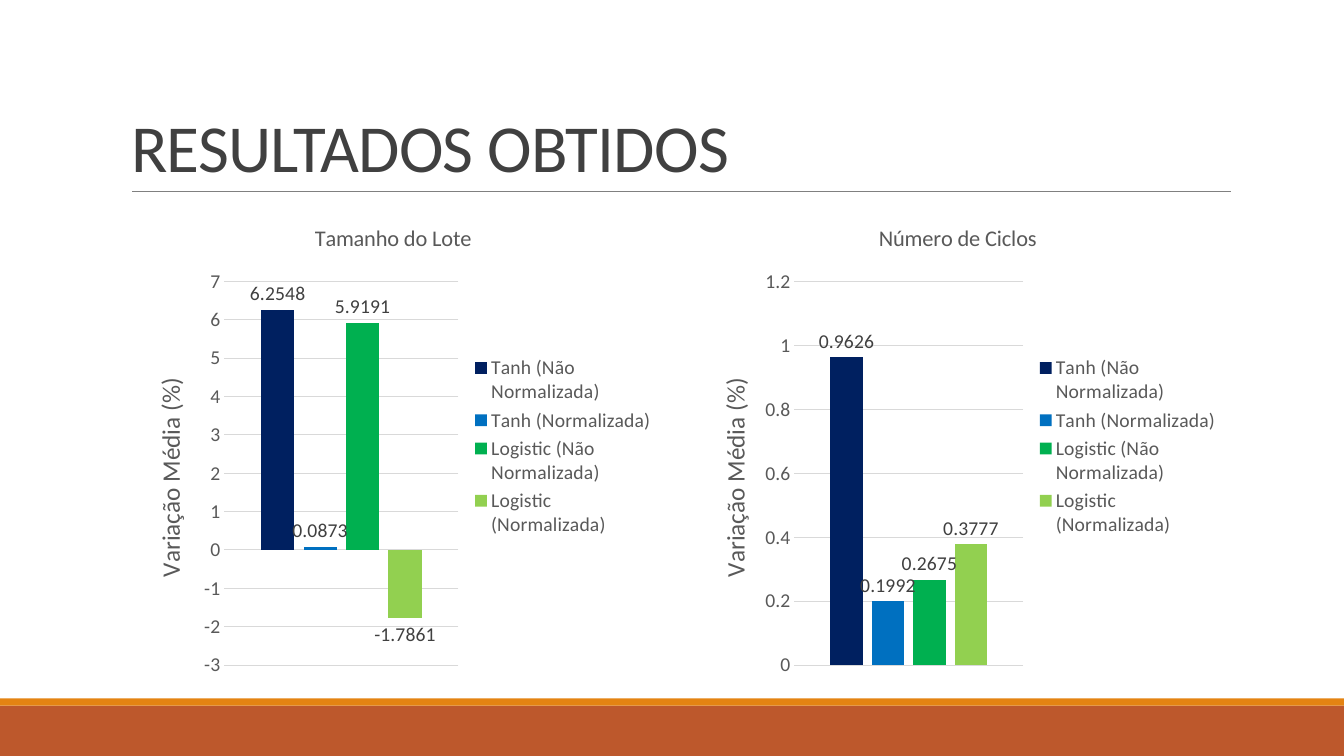
import pptx
import pptx.util
import pptx.dml.color
import pptx.chart.data
import pptx.enum.chart
import pptx.enum.text
import pptx.enum.shapes
import pptx.oxml
from pptx.oxml.ns import qn, nsdecls

Inches = pptx.util.Inches
Pt = pptx.util.Pt
enum = pptx.enum


def style(font, size, color):
    look = {"name": "Calibri", "size": Pt(size), "bold": False}
    for key, value in look.items():
        setattr(font, key, value)
    font.color.rgb = pptx.dml.color.RGBColor.from_string(color)


def place(node, spots):
    xml = "".join(f'<c:{tag} val="{value}"/>' for tag, value in spots.items())
    for old in node.findall(qn("c:layout")):
        node.remove(old)
    layout = pptx.oxml.parse_xml(
        f'<c:layout {nsdecls("c")}><c:manualLayout>{xml}</c:manualLayout></c:layout>')
    text = node.find(qn("c:tx"))
    node.insert(0 if text is None else 1, layout)


deck = pptx.Presentation()
deck.slide_width = Inches(13.33)
deck.slide_height = Inches(7.5)
slide = deck.slides.add_slide(deck.slide_layouts[5])
shapes = slide.shapes

for top, height, color in [(7, 0.5, "BD582C"), (6.93, 0.07, "E48312")]:
    band = shapes.add_shape(enum.shapes.MSO_SHAPE.RECTANGLE, 0, Inches(top),
                            deck.slide_width, Inches(height))
    band.shadow.inherit = False
    band.fill.solid()
    band.fill.fore_color.rgb = pptx.dml.color.RGBColor.from_string(color)
    band.line.fill.background()

rule = shapes.add_connector(enum.shapes.MSO_CONNECTOR.STRAIGHT, Inches(1.31),
                            Inches(1.9), Inches(12.21), Inches(1.9))
rule.line.color.rgb = pptx.dml.color.RGBColor.from_string("808080")
rule.line.width = Pt(0.5)
rule._element.spPr.append(pptx.oxml.parse_xml(f'<a:effectLst {nsdecls("a")}/>'))

title = shapes.title
spot = {"left": 1.2, "top": 0.31, "width": 11, "height": 1.59}
for key, value in spot.items():
    setattr(title, key, Inches(value))
frame = title.text_frame
frame.text = "RESULTADOS OBTIDOS"
frame.auto_size = enum.text.MSO_AUTO_SIZE.NONE
frame.vertical_anchor = enum.text.MSO_ANCHOR.BOTTOM
line = frame.paragraphs[0]
line.alignment = enum.text.PP_ALIGN.LEFT
line.line_spacing = 0.85
style(line.runs[0].font, 48, "404040")
line.runs[0].font._element.set("spc", "-50")

names = ["Tanh (Não Normalizada)", "Tanh (Normalizada)",
         "Logistic (Não Normalizada)", "Logistic (Normalizada)"]
colors = ["002060", "0070C0", "00B050", "92D050"]
charts = [
    ("Tamanho do Lote", 1.2, [6.2548, 0.0873, 5.9191, -1.7861], (-3, 7, 1), (0.19, 0.43)),
    ("Número de Ciclos", 6.8, [0.9626, 0.1992, 0.2675, 0.3777], (0, 1.2, 0.2), (0.2, 0.42)),
]

for head, left, values, scale, span in charts:
    data = pptx.chart.data.CategoryChartData()
    data.categories = ["1"]
    for name, value in zip(names, values):
        data.add_series(name, [value])
    chart = shapes.add_chart(enum.chart.XL_CHART_TYPE.COLUMN_CLUSTERED, Inches(left),
                             Inches(2.02), Inches(5.4), Inches(4.82), data).chart
    style(chart.font, 14, "000000")
    chart.has_title = True
    chart.chart_title.text_frame.text = head
    style(chart.chart_title.text_frame.paragraphs[0].runs[0].font, 16, "595959")
    chart.chart_title.include_in_layout = False

    chart.has_legend = True
    chart.legend.position = enum.chart.XL_LEGEND_POSITION.RIGHT
    chart.legend.include_in_layout = False
    style(chart.legend.font, 14, "595959")

    chart.category_axis.visible = False
    axis = chart.value_axis
    low, high, step = scale
    looks = {"minimum_scale": low, "maximum_scale": high, "major_unit": step,
             "major_tick_mark": enum.chart.XL_TICK_MARK.NONE,
             "minor_tick_mark": enum.chart.XL_TICK_MARK.NONE,
             "has_major_gridlines": True, "has_title": True}
    for key, value in looks.items():
        setattr(axis, key, value)
    style(axis.tick_labels.font, 14, "595959")
    axis.tick_labels.number_format = "General"
    axis.tick_labels.number_format_is_linked = False
    axis.format.line.fill.background()
    grid = axis.major_gridlines.format.line
    grid.color.rgb = pptx.dml.color.RGBColor.from_string("D9D9D9")
    grid.width = Pt(0.75)
    label = axis.axis_title.text_frame
    label.text = "Variação Média (%)"
    label._txBody.bodyPr.set("rot", "-5400000")
    label._txBody.bodyPr.set("vert", "horz")
    style(label.paragraphs[0].runs[0].font, 18, "595959")
    place(axis.axis_title._element,
          {"xMode": "edge", "yMode": "edge", "x": 0.05, "y": 0.35})

    plot = chart.plots[0]
    place(chart._chartSpace.chart.plotArea,
          {"layoutTarget": "inner", "xMode": "edge", "yMode": "edge",
           "x": span[0], "y": 0.16, "w": span[1], "h": 0.79})
    plot.gap_width = 219
    plot.overlap = -27
    plot.vary_by_categories = False
    for bar, color in zip(plot.series, colors):
        bar.invert_if_negative = False
        bar.format.fill.solid()
        bar.format.fill.fore_color.rgb = pptx.dml.color.RGBColor.from_string(color)
        tags = bar.data_labels
        tags.show_value = True
        tags.position = enum.chart.XL_LABEL_POSITION.OUTSIDE_END
        style(tags.font, 14, "404040")

deck.save("out.pptx")
